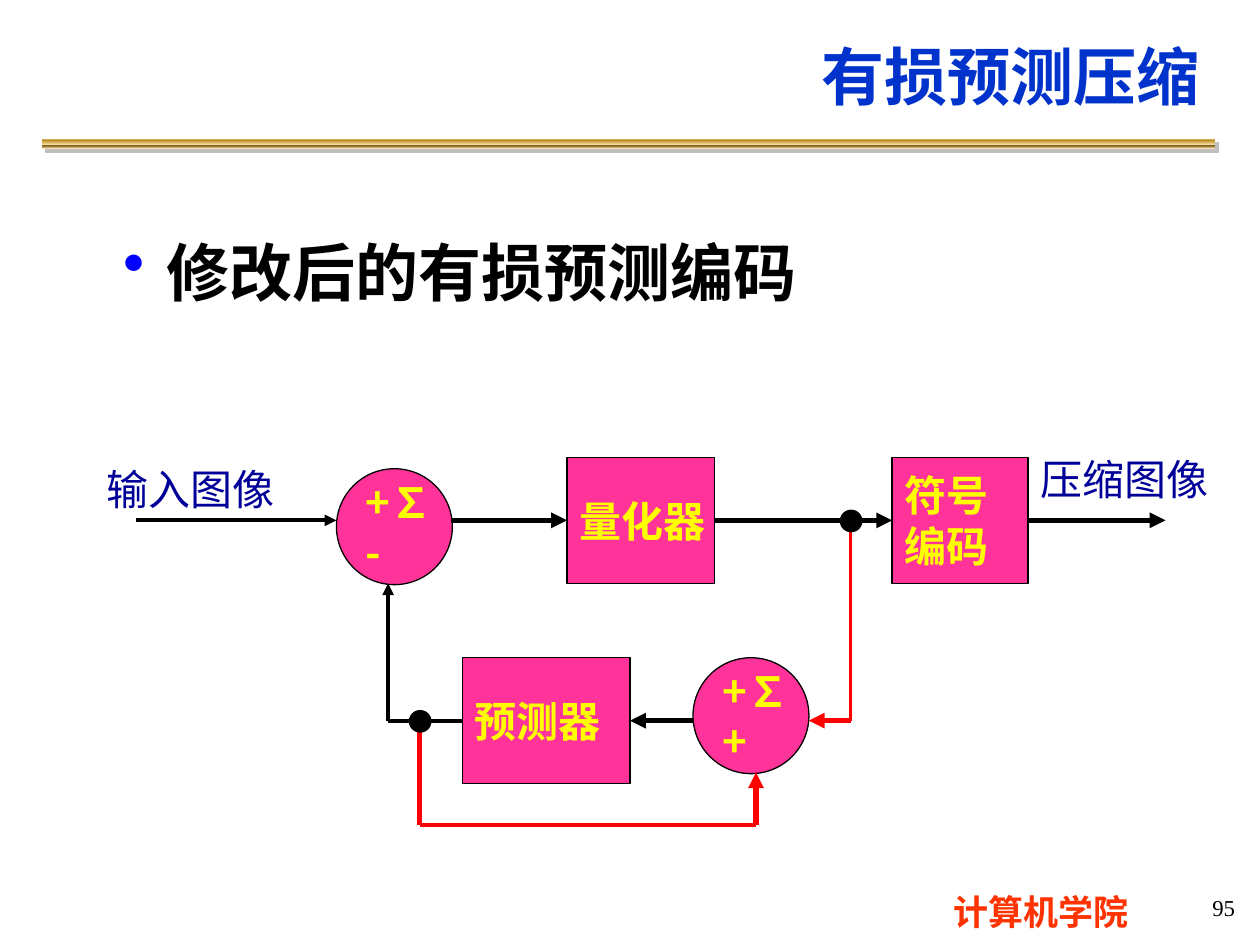
import pptx
import pptx.util
import pptx.dml.color
import pptx.enum.shapes
import pptx.enum.text
import pptx.oxml
import pptx.oxml.ns
from lxml import etree

Inches, Pt = pptx.util.Inches, pptx.util.Pt
SHAPE = pptx.enum.shapes.MSO_SHAPE
ALIGN = pptx.enum.text.PP_ALIGN
ANCHOR = pptx.enum.text.MSO_ANCHOR
qn = pptx.oxml.ns.qn
TOP, LEFT, BOTTOM, RIGHT = range(4)
CJK = "Noto Sans CJK SC"
COLORS = {
    "title": "0033CC", "bullet": "0000FF", "black": "000000", "footer": "FF3300",
    "node": "FF3399", "node_text": "FFFF00", "label": "000099", "feedback": "FF0000",
    "shadow": "808080",
}
GOLD = [(0, "FBE4AE"), (13, "BD922A"), (21, "BD922A"), (63, "FBE4AE"),
        (67, "BD922A"), (69, "835E17"), (82, "A28949"), (100, "FAE3B7")]


def rgb(name):
    """Return the named colour."""
    return pptx.dml.color.RGBColor.from_string(COLORS[name])


def xml(text):
    """Parse an element in the drawing namespace."""
    return pptx.oxml.parse_xml(text.replace(" ", f" {pptx.oxml.ns.nsdecls('a')} ", 1))


def write(sp, text, size, color, bold=False, font=CJK, align=ALIGN.LEFT,
          anchor=ANCHOR.MIDDLE, wrap=False):
    """Put formatted text in a shape."""
    tf = sp.text_frame
    tf.text = text
    tf.word_wrap = wrap
    tf.vertical_anchor = anchor
    for p in tf.paragraphs:
        p.alignment = align
        for r in p.runs:
            r.font.size, r.font.bold, r.font.name = Pt(size), bold, font
            r.font.color.rgb = rgb(color)
            etree.SubElement(r.font._element, qn("a:ea")).set("typeface", font)
    return tf


def add_text(s, x, y, w, h, *args, **kwargs):
    """Add a text box and write in it."""
    sp = s.shapes.add_textbox(Inches(x), Inches(y), Inches(w), Inches(h))
    return write(sp, *args, **kwargs)


def add_node(s, kind, x, y, w, h, text="", fill="node"):
    """Add a filled, outlined node of the diagram."""
    sp = s.shapes.add_shape(kind, Inches(x), Inches(y), Inches(w), Inches(h))
    sp.shadow.inherit = False
    sp.fill.solid()
    sp.fill.fore_color.rgb = rgb(fill)
    sp.line.color.rgb = rgb("black")
    sp.line.width = Pt(0.75)
    if text:
        write(sp, text, 24, "node_text", bold=True)
    return sp


def add_line(s, x1, y1, x2, y2, width, color="black", arrow=True, begin=None, end=None):
    """Add a straight line, optionally with an arrowhead and joined ends."""
    c = s.shapes.add_connector(pptx.enum.shapes.MSO_CONNECTOR.STRAIGHT,
                               Inches(x1), Inches(y1), Inches(x2), Inches(y2))
    c.line.width = Pt(width)
    c.line.color.rgb = rgb(color)
    if arrow:
        etree.SubElement(c.line._get_or_add_ln(), qn("a:tailEnd")).set("type", "triangle")
    etree.SubElement(c._element.spPr, qn("a:effectLst"))
    if begin:
        c.begin_connect(*begin)
    if end:
        c.end_connect(*end)


def add_header(s, x, y, w, h):
    """Draw the title and the gold rule below it."""
    add_text(s, x + 0.73, y, w - 0.75, 0.95, "有损预测压缩", 36, "title", bold=True,
             align=ALIGN.RIGHT, wrap=True)
    sp = s.shapes.add_shape(SHAPE.RECTANGLE, Inches(x), Inches(y + h - 0.08),
                            Inches(w), Inches(0.08))
    sp.line.fill.background()
    stops = "".join(f'<a:gs pos="{pos * 1000}"><a:srgbClr val="{color}"/></a:gs>'
                    for pos, color in GOLD)
    sp._element.spPr.insert(2, xml(
        f'<a:gradFill rotWithShape="1"><a:gsLst>{stops}</a:gsLst>'
        '<a:lin ang="5400000" scaled="0"/></a:gradFill>'))
    sp._element.spPr.append(xml(
        f'<a:effectLst ><a:outerShdw dist="{Pt(2.8)}" dir="2700000" algn="ctr">'
        f'<a:srgbClr val="{COLORS["shadow"]}"><a:alpha val="50000"/></a:srgbClr>'
        '</a:outerShdw></a:effectLst>'))


def add_body(s, x, y, w, h):
    """Write the bulleted heading."""
    tf = add_text(s, x, y, w, h, "修改后的有损预测编码", 36, "black", bold=True,
                  anchor=ANCHOR.TOP, wrap=True)
    p = tf.paragraphs[0]
    p.line_spacing = 1.5
    pPr = p._p.get_or_add_pPr()
    pPr.set("marL", str(Inches(0.34)))
    pPr.set("indent", str(Inches(-0.34)))
    color = etree.SubElement(pPr, qn("a:buClr"))
    etree.SubElement(color, qn("a:srgbClr")).set("val", COLORS["bullet"])
    etree.SubElement(pPr, qn("a:buChar")).set("char", "•")


def add_diagram(s, x, y, w, h):
    """Draw the predictive coding loop."""
    top, low, bottom = y + 0.58, y + 2.17, y + h
    tap, back, rise = x + 6, x + 2.58, x + 2.33
    d = 0.92
    add_text(s, x, y + 0.08, 1.53, 0.5, "输入图像", 24, "label")
    add_text(s, x + w - 1.53, y, 1.53, 0.5, "压缩图像", 24, "label")
    add_node(s, SHAPE.OVAL, x + 1.92, y + 0.17, d, d, "+∑\n-")
    add_node(s, SHAPE.OVAL, x + 4.75, y + 1.67, d, d, "+∑\n+")
    quantizer = add_node(s, SHAPE.RECTANGLE, x + 3.75, top - 0.5, 1.17, 1, "量化器")
    encoder = add_node(s, SHAPE.RECTANGLE, x + 6.33, top - 0.5, 1.08, 1, "符号\n编码")
    predictor = add_node(s, SHAPE.RECTANGLE, x + 2.92, low - 0.5, 1.33, 1, "预测器")

    add_line(s, x + 0.33, top, x + 1.92, top, 2.25)
    add_line(s, x + 2.83, top, x + 3.75, top, 3, end=(quantizer, LEFT))
    add_line(s, x + 4.92, top, x + 6.33, top, 3, begin=(quantizer, RIGHT), end=(encoder, LEFT))
    add_line(s, x + 7.41, top, x + 8.5, top, 3, begin=(encoder, RIGHT))
    add_line(s, x + 4.75, low, x + 4.25, low, 3, end=(predictor, RIGHT))
    add_line(s, x + 2.92, low, rise, low, 2.25, arrow=False, begin=(predictor, LEFT))
    add_line(s, rise, low, rise, y + 1.08, 2.25)

    add_line(s, tap, top, tap, low, 2.25, "feedback", arrow=False)
    add_line(s, tap, low, x + 5.67, low, 3, "feedback")
    add_line(s, back, low, back, bottom, 3, "feedback", arrow=False)
    add_line(s, back, bottom, x + 5.25, bottom, 2.25, "feedback", arrow=False)
    add_line(s, x + 5.25, bottom, x + 5.25, y + 2.58, 3, "feedback")
    for cx, cy in ((tap, top), (back, low)):
        add_node(s, SHAPE.OVAL, cx - 0.08, cy - 0.08, 0.17, 0.17, fill="black")


def add_footer(s, x, y, w, h):
    """Write the department name and the page number."""
    add_text(s, x, y, 2.75, h, "计算机学院", 20, "footer", bold=True,
             align=ALIGN.CENTER, anchor=ANCHOR.TOP, wrap=True)
    add_text(s, x + w - 1.91, y, 1.91, 0.37, "95", 13, "black",
             font="Times New Roman", align=ALIGN.RIGHT)


def main():
    """Build and save the slide."""
    prs = pptx.Presentation()
    prs.slide_width, prs.slide_height = Inches(10), Inches(7.5)
    s = prs.slides.add_slide(prs.slide_layouts[6])
    add_header(s, 0.33, 0.12, 9.31, 1.06)
    add_body(s, 0.88, 1.5, 8.74, 1.25)
    add_diagram(s, 0.75, 3.55, 8.94, 3)
    add_footer(s, 6.89, 7.02, 3.01, 0.43)
    prs.save("out.pptx")


if __name__ == "__main__":
    main()
